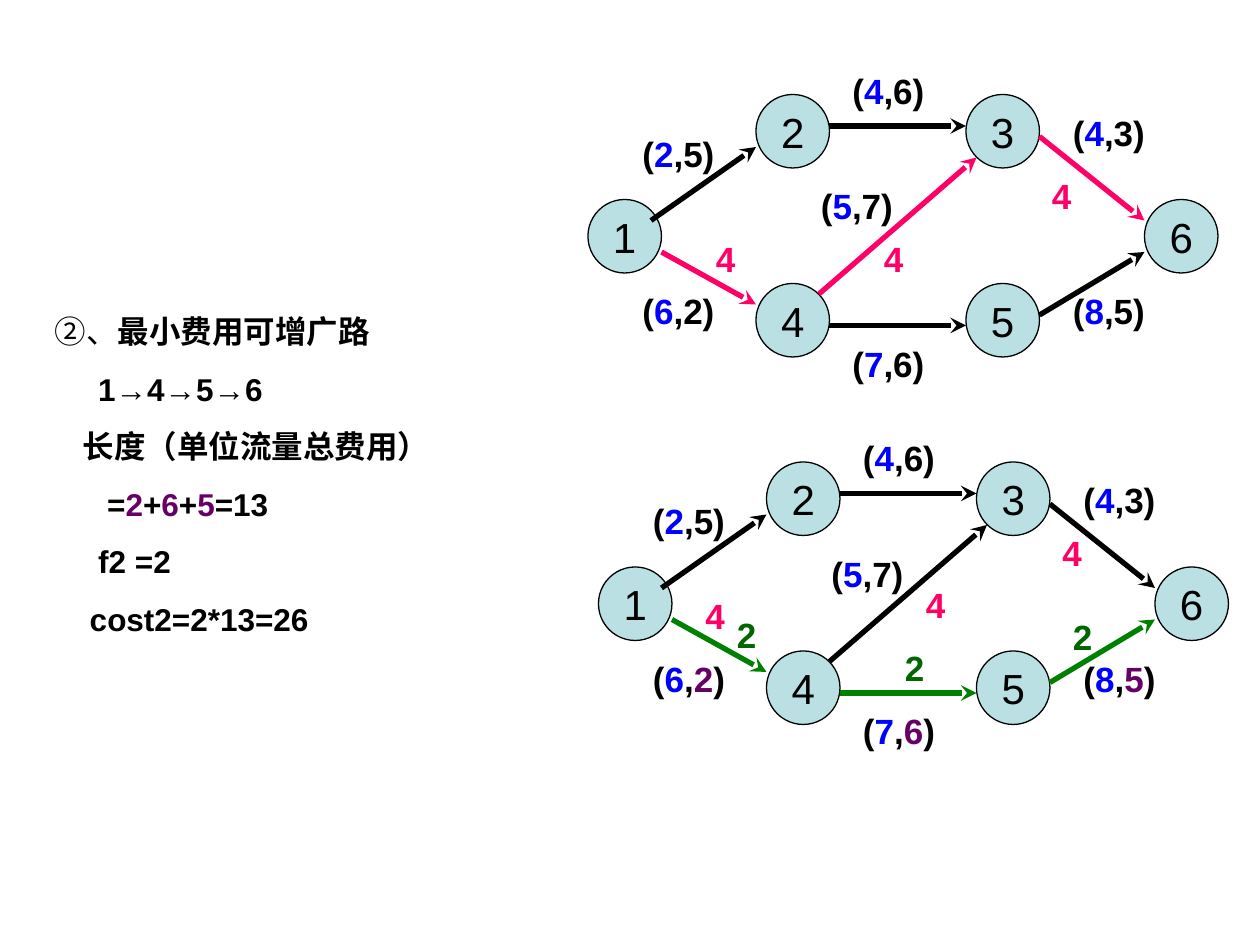
from lxml import etree
from pptx import Presentation
from pptx.dml.color import RGBColor
from pptx.enum.shapes import MSO_CONNECTOR, MSO_SHAPE
from pptx.enum.text import MSO_ANCHOR, MSO_AUTO_SIZE, PP_ALIGN
from pptx.oxml.ns import qn
from pptx.util import Cm, Pt

STRAIGHT = MSO_CONNECTOR.STRAIGHT
OVAL = MSO_SHAPE.OVAL
MIDDLE = MSO_ANCHOR.MIDDLE
GROW = MSO_AUTO_SIZE.SHAPE_TO_FIT_TEXT
CENTER = PP_ALIGN.CENTER

LATIN, CHINESE = "Arial", "Noto Sans CJK SC"
BLACK, BLUE, PURPLE = "000000", "0000FF", "660066"
PINK, GREEN, DARK_GREEN, PALE = "FF0066", "008000", "006600", "BBE0E3"

GRID_CM = 2.54 / 12
NODE_SIZE = 7
LABEL_WIDTH, FLOW_WIDTH, LABEL_HEIGHT = 10, 4, 5.25

NODES = {"1": (56, 19), "2": (72, 9), "4": (72, 27),
         "3": (92, 9), "5": (92, 27), "6": (109, 19)}

# edge: start, end, label corner, capacity, cost
EDGES = {
    "4-3": ((78, 28), (93, 15), (77, 17), "5", "7"),
    "1-2": ((62, 21), (72, 14), (60, 12), "2", "5"),
    "1-4": ((63, 24), (72, 29), (60, 27), "6", "2"),
    "2-3": ((79, 12), (92, 12), (80, 6), "4", "6"),
    "4-5": ((79, 31), (92, 31), (80, 32), "7", "6"),
    "3-6": ((99, 13), (109, 21), (101, 10), "4", "3"),
    "5-6": ((99, 30), (109, 24), (101, 27), "8", "5"),
}

NETWORKS = [
    {"offset": (0, 0), "path": ("1-4", "4-3", "3-6"), "color": PINK, "cost": BLACK,
     "flows": [("4", PINK, (67, 22)), ("4", PINK, (83, 22)), ("4", PINK, (99, 16))]},
    {"offset": (1, 35), "path": ("1-4", "4-5", "5-6"), "color": GREEN, "cost": PURPLE,
     "flows": [("4", PINK, (65, 21)), ("4", PINK, (86, 20)), ("4", PINK, (99, 15)),
               ("2", DARK_GREEN, (68, 22.8)), ("2", DARK_GREEN, (84, 26)),
               ("2", DARK_GREEN, (100, 23))]},
]

# indent in cm, then runs of text, colour, bold, font
SOLUTION = [
    (0, [("②", BLACK, False, CHINESE), ("、", BLACK, False, LATIN),
         ("最小费用可增广路", BLACK, True, LATIN)]),
    (0.88, [("1→4→5→6", BLACK, True, LATIN)]),
    (0.57, [("长度（单位流量总费用）", BLACK, True, LATIN)]),
    (1.06, [(text, PURPLE if text.isdigit() else BLACK, True, LATIN)
            for text in ("=", "2", "+", "6", "+", "5", "=13")]),
    (0.88, [("f2 =2", BLACK, True, LATIN)]),
    (0.71, [("cost2=2*13=26", BLACK, True, LATIN)]),
]


def rgb(color):
    """Turn a hex string into a colour."""
    return RGBColor.from_string(color)


def grid(*steps):
    """Turn grid steps into lengths."""
    return [Cm(step * GRID_CM) for step in steps]


def add_span(para, text, size, color, bold=False, font=LATIN):
    """Append one formatted run."""
    span = para.add_run()
    span.text = text
    span.font.size, span.font.bold, span.font.name = Pt(size), bold, font
    span.font.color.rgb = rgb(color)
    east_asian = etree.SubElement(span.font._element, qn("a:ea"))
    east_asian.set("typeface", CHINESE)


def add_box(page, left, top, width, height):
    """Add a wrapping text box and return its text frame."""
    frame = page.shapes.add_textbox(left, top, width, height).text_frame
    frame.word_wrap, frame.auto_size = True, GROW
    return frame


def add_node(page, name, x, y):
    """Draw one numbered circle."""
    node = page.shapes.add_shape(OVAL, *grid(x, y, NODE_SIZE, NODE_SIZE))
    node.shadow.inherit = False
    node.fill.solid()
    node.fill.fore_color.rgb = rgb(PALE)
    node.line.color.rgb, node.line.width = rgb(BLACK), Pt(0.75)
    frame = node.text_frame
    frame.word_wrap, frame.vertical_anchor = False, MIDDLE
    frame.paragraphs[0].alignment = CENTER
    add_span(frame.paragraphs[0], name, 24, BLACK)


def add_arrow(page, start, end, color):
    """Draw one directed edge."""
    arrow = page.shapes.add_connector(STRAIGHT, *grid(*start, *end))
    arrow.line.color.rgb, arrow.line.width = rgb(color), Pt(3)
    etree.SubElement(arrow.line._get_or_add_ln(), qn("a:tailEnd")).set("type", "stealth")
    etree.SubElement(arrow._element.spPr, qn("a:effectLst"))


def add_label(page, corner, width, spans):
    """Write one bold label made of text and colour pairs."""
    para = add_box(page, *grid(*corner, width, LABEL_HEIGHT)).paragraphs[0]
    for text, color in spans:
        add_span(para, text, 20, color, True)


def add_network(page, network):
    """Draw a whole flow network."""
    def shift(point):
        """Move a point by the offset of the network."""
        return [step + move for step, move in zip(point, network["offset"])]

    for name, corner in NODES.items():
        add_node(page, name, *shift(corner))
    for name, (start, end, _, _, _) in EDGES.items():
        color = network["color"] if name in network["path"] else BLACK
        add_arrow(page, shift(start), shift(end), color)
    for name, (_, _, corner, capacity, cost) in EDGES.items():
        color = network["cost"] if name in network["path"] else BLACK
        add_label(page, shift(corner), LABEL_WIDTH,
                  [("(", BLACK), (capacity, BLUE), (",", BLACK), (cost, color), (")", BLACK)])
    for flow, color, corner in network["flows"]:
        add_label(page, shift(corner), FLOW_WIDTH, [(flow, color)])


def add_solution(page):
    """Write the steps of the solution."""
    frame = add_box(page, Cm(0.85), Cm(6.17), Cm(10.16), Cm(6.81))
    for index, (indent, spans) in enumerate(SOLUTION):
        para = frame.add_paragraph() if index else frame.paragraphs[0]
        para.line_spacing = Pt(21.6)
        para.space_before = Pt(11.25 if index else 0)
        para._p.get_or_add_pPr().set("marL", str(Cm(indent)))
        for text, color, bold, font in spans:
            add_span(para, text, 18, color, bold, font)


def main():
    """Build and save the deck."""
    deck = Presentation()
    deck.slide_width, deck.slide_height = Cm(25.4), Cm(19.05)
    page = deck.slides.add_slide(deck.slide_layouts[6])
    add_solution(page)
    for network in NETWORKS:
        add_network(page, network)
    deck.save("out.pptx")


if __name__ == "__main__":
    main()
